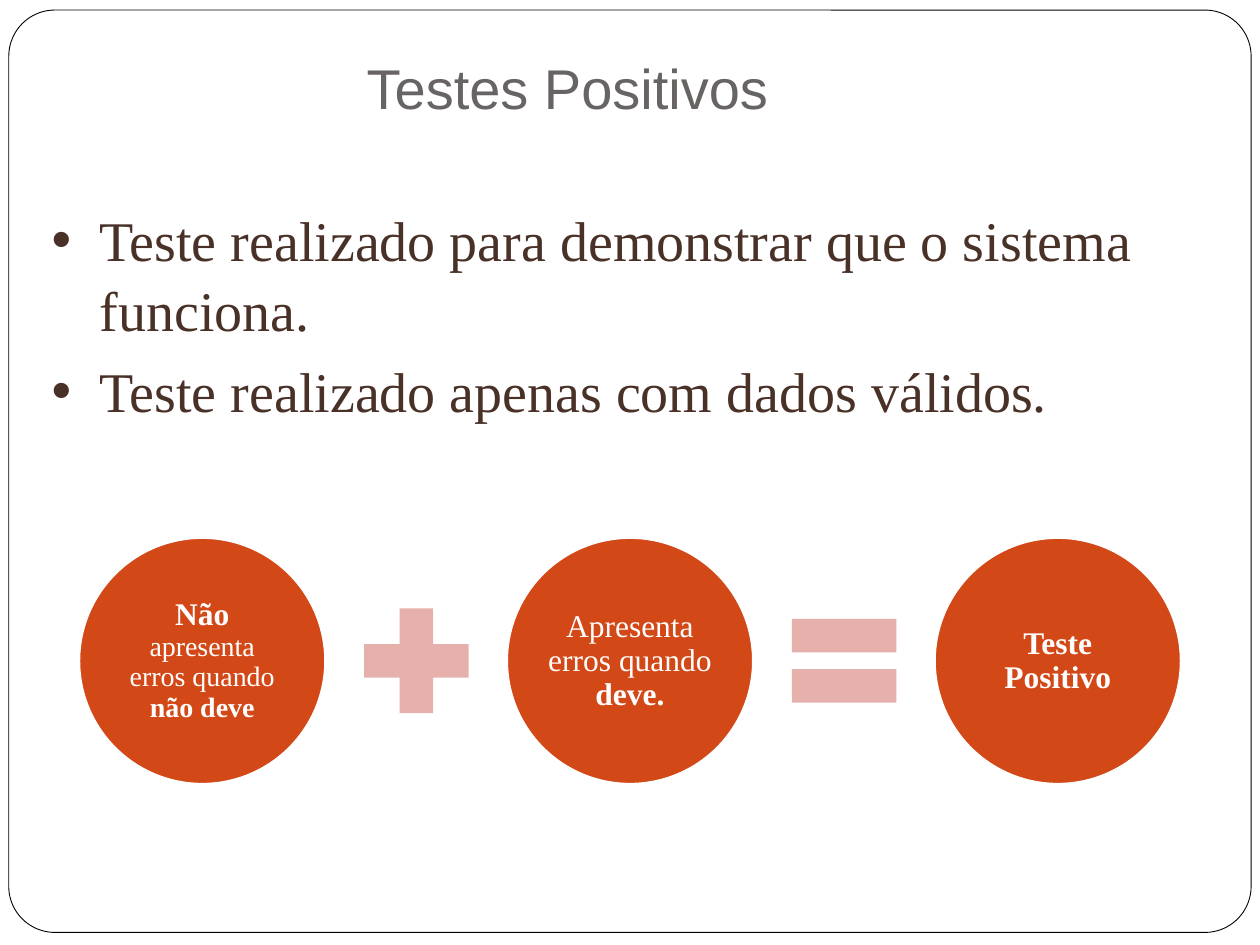
from dataclasses import dataclass

import lxml.etree
import pptx
import pptx.dml.color
import pptx.enum.shapes
import pptx.enum.text
import pptx.oxml.ns
import pptx.util

Inches = pptx.util.Inches
Pt = pptx.util.Pt
RGBColor = pptx.dml.color.RGBColor
ShapeType = pptx.enum.shapes.MSO_SHAPE

WHITE = RGBColor(0xFF, 0xFF, 0xFF)
BLACK = RGBColor(0x00, 0x00, 0x00)
GRAY = RGBColor(0x69, 0x64, 0x64)
BROWN = RGBColor(0x4A, 0x31, 0x28)
ORANGE = RGBColor(0xD3, 0x48, 0x17)
PINK = RGBColor(0xE6, 0xB1, 0xAC)

HEADING_FONT = "Arial"
BODY_FONT = "Times New Roman"

FIRST_LEFT = 0.63
CENTER_Y = 5.245
CIRCLE_SIZE = 1.95
OPERATOR_SIZE = 1.13
GAP = 0.16
STEP = CIRCLE_SIZE + OPERATOR_SIZE + 2 * GAP - 0.005


@dataclass
class TextPart:
    text: str
    size: int
    bold: bool = False


BULLETS = [
    "Teste realizado para demonstrar que o sistema funciona.",
    "Teste realizado apenas com dados válidos.",
]
CIRCLES = [
    [
        TextPart("Não ", 18, True),
        TextPart("apresenta erros quando ", 16),
        TextPart("não deve", 16, True),
    ],
    [TextPart("Apresenta erros quando ", 18), TextPart("deve.", 18, True)],
    [TextPart("Teste Positivo", 18, True)],
]
OPERATORS = [ShapeType.MATH_PLUS, ShapeType.MATH_EQUAL]


def format_font(font, name: str, size: int, color: RGBColor, bold: bool = False) -> None:
    font.name = name
    font.size = Pt(size)
    font.bold = bold
    font.color.rgb = color


def place(shape, left: float, top: float, width: float, height: float) -> None:
    shape.left, shape.top = Inches(left), Inches(top)
    shape.width, shape.height = Inches(width), Inches(height)


def add_filled_shape(slide, kind, left: float, top: float, width: float, height: float, fill: RGBColor):
    shape = slide.shapes.add_shape(kind, Inches(left), Inches(top), Inches(width), Inches(height))
    shape.shadow.inherit = False
    shape.fill.solid()
    shape.fill.fore_color.rgb = fill
    return shape


def set_outline(shape, color: RGBColor, width: float) -> None:
    shape.line.color.rgb = color
    shape.line.width = Pt(width)


def add_frame(slide) -> None:
    frame = add_filled_shape(slide, ShapeType.ROUNDED_RECTANGLE, 0.07, 0.08, 9.86, 7.32, WHITE)
    frame.adjustments[0] = 0.05
    set_outline(frame, BLACK, 0.5)
    slide.shapes.title._element.addprevious(frame._element)


def fill_title(title) -> None:
    place(title, 2.81, 0.37, 7.03, 0.64)
    text_frame = title.text_frame
    text_frame.text = "Testes Positivos"
    text_frame.auto_size = pptx.enum.text.MSO_AUTO_SIZE.NONE
    text_frame.vertical_anchor = pptx.enum.text.MSO_ANCHOR.MIDDLE
    paragraph = text_frame.paragraphs[0]
    paragraph.alignment = pptx.enum.text.PP_ALIGN.LEFT
    format_font(paragraph.runs[0].font, HEADING_FONT, 32, GRAY)


def add_bullet(paragraph) -> None:
    properties = paragraph._p.get_or_add_pPr()
    properties.set("marL", str(Inches(0.38)))
    properties.set("indent", str(Inches(-0.38)))
    bullet = lxml.etree.SubElement(properties, pptx.oxml.ns.qn("a:buChar"))
    bullet.set("char", "•")


def fill_body(body) -> None:
    place(body, 0.31, 1.56, 9.3, 2.03)
    text_frame = body.text_frame
    text_frame.text = "\n".join(BULLETS)
    text_frame.auto_size = pptx.enum.text.MSO_AUTO_SIZE.NONE
    for index, paragraph in enumerate(text_frame.paragraphs):
        add_bullet(paragraph)
        paragraph.line_spacing = 1.04
        paragraph.space_before = Pt(6.4 if index else 0)
        format_font(paragraph.runs[0].font, BODY_FONT, 32, BROWN)


def add_circle(slide, left: float, parts: list[TextPart]) -> None:
    top = CENTER_Y - CIRCLE_SIZE / 2
    circle = add_filled_shape(slide, ShapeType.OVAL, left, top, CIRCLE_SIZE, CIRCLE_SIZE, ORANGE)
    set_outline(circle, WHITE, 1)
    text_frame = circle.text_frame
    text_frame.word_wrap = True
    text_frame.vertical_anchor = pptx.enum.text.MSO_ANCHOR.MIDDLE
    text_frame.margin_left = text_frame.margin_right = Inches(0.03)
    text_frame.margin_top = text_frame.margin_bottom = Inches(0.03)
    paragraph = text_frame.paragraphs[0]
    paragraph.alignment = pptx.enum.text.PP_ALIGN.CENTER
    paragraph.line_spacing = 0.9
    for part in parts:
        run = paragraph.add_run()
        run.text = part.text
        format_font(run.font, BODY_FONT, part.size, WHITE, part.bold)


def add_operator(slide, left: float, kind) -> None:
    top = CENTER_Y - OPERATOR_SIZE / 2
    operator = add_filled_shape(slide, kind, left, top, OPERATOR_SIZE, OPERATOR_SIZE, PINK)
    operator.line.fill.background()


def main() -> None:
    presentation = pptx.Presentation()
    presentation.slide_width = Inches(10)
    presentation.slide_height = Inches(7.5)
    slide = presentation.slides.add_slide(presentation.slide_layouts[1])
    add_frame(slide)
    fill_title(slide.shapes.title)
    fill_body(slide.placeholders[1])
    for index, parts in enumerate(CIRCLES):
        add_circle(slide, FIRST_LEFT + index * STEP, parts)
    for index, kind in enumerate(OPERATORS):
        add_operator(slide, FIRST_LEFT + CIRCLE_SIZE + GAP + index * STEP, kind)
    presentation.save("out.pptx")


if __name__ == "__main__":
    main()
